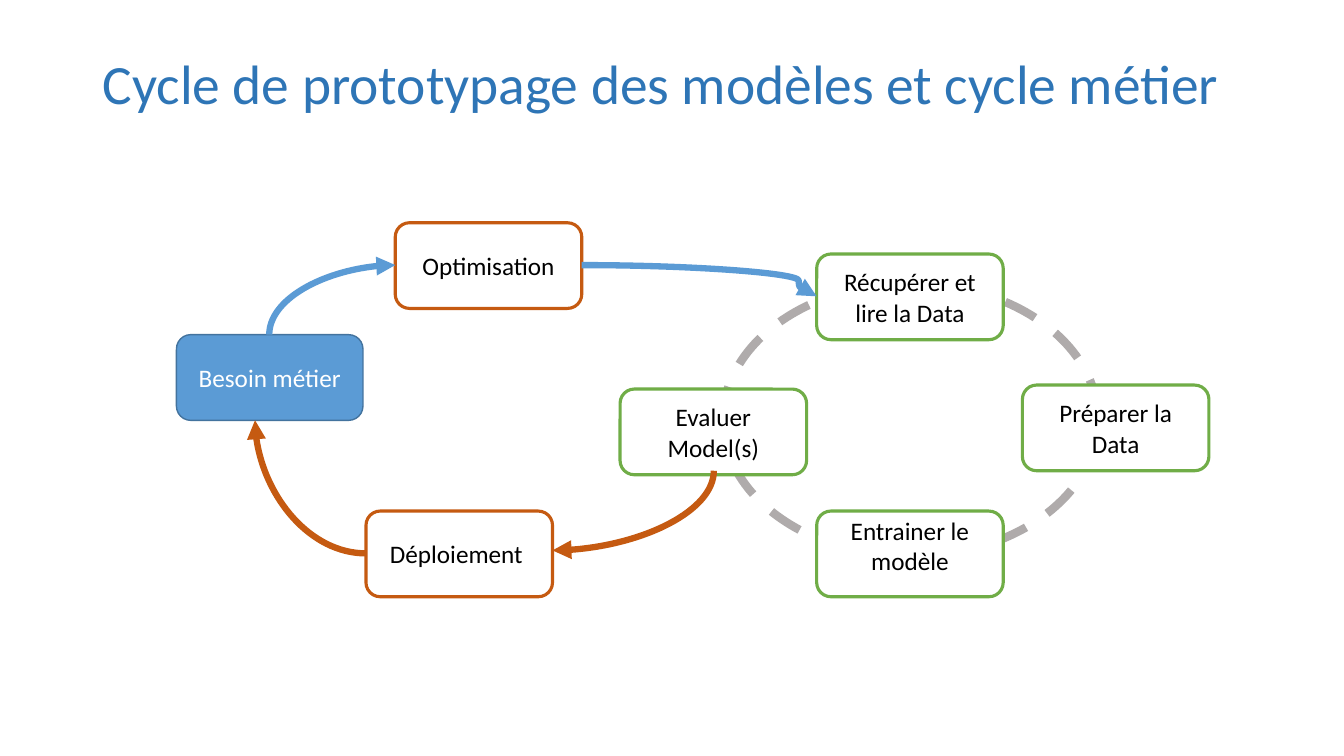
from dataclasses import dataclass

from lxml.etree import SubElement
from pptx import Presentation
from pptx.dml.color import RGBColor
from pptx.enum.dml import MSO_LINE
from pptx.enum.shapes import MSO_CONNECTOR, MSO_SHAPE as SHAPE
from pptx.enum.text import MSO_ANCHOR as ANCHOR, PP_ALIGN as ALIGN
from pptx.oxml.ns import qn
from pptx.util import Pt

PX = 9144  # EMU per px, 100 px to the inch
BOX_W, BOX_H = 185, 85


@dataclass(frozen=True)
class Theme:
    font: str = "Calibri"
    title_size: float = 39.6
    body_size: float = 18
    title: str = "2E75B6"
    white: str = "FFFFFF"
    black: str = "000000"
    blue: str = "5B9BD5"
    blue_edge: str = "43739E"
    green: str = "70AD47"
    orange: str = "C55A11"
    grey: str = "AFABAB"


class Deck:
    def __init__(self, theme):
        self.t = theme
        self.prs = Presentation()
        self.prs.slide_width, self.prs.slide_height = 1333 * PX, 750 * PX
        self.s = self.prs.slides.add_slide(self.prs.slide_layouts[6])

    def add_text(self, tf, lines, size, color, align):
        tf.word_wrap = True
        tf.vertical_anchor = ANCHOR.MIDDLE
        for i, line in enumerate(lines):
            p = tf.paragraphs[0] if i == 0 else tf.add_paragraph()
            p.alignment = align
            r = p.add_run()
            r.text = line
            r.font.name, r.font.size = self.t.font, Pt(size)
            r.font.color.rgb = RGBColor.from_string(color)

    def title(self, x, y, w, h, text):
        tf = self.s.shapes.add_textbox(x * PX, y * PX, w * PX, h * PX).text_frame
        self.add_text(tf, [text], self.t.title_size, self.t.title, ALIGN.LEFT)
        tf.paragraphs[0].line_spacing = 0.9

    def shape(self, kind, x, y, w, h, fill, edge, weight):
        sp = self.s.shapes.add_shape(kind, x * PX, y * PX, w * PX, h * PX)
        sp.shadow.inherit = False
        sp.fill.solid()
        sp.fill.fore_color.rgb = RGBColor.from_string(fill)
        sp.line.color.rgb = RGBColor.from_string(edge)
        sp.line.width = Pt(weight)
        return sp

    def ring(self, x, y, w, h):
        sp = self.shape(SHAPE.OVAL, x, y, w, h, self.t.white, self.t.grey, 6)
        sp.line.dash_style = MSO_LINE.DASH

    def box(self, x, y, lines, edge, fill=None, color=None, weight=2.25):
        sp = self.shape(SHAPE.ROUNDED_RECTANGLE, x, y, BOX_W, BOX_H,
                        fill or self.t.white, edge, weight)
        self.add_text(sp.text_frame, lines, self.t.body_size,
                      color or self.t.black, ALIGN.CENTER)
        return sp

    def arrow(self, start, end, color, upright=False, bend=None):
        """Curved arrow; upright leaves vertically, bend makes an S-curve."""
        (x1, y1), (x2, y2) = start, end
        if upright:  # lay the arrow flat about its centre, then turn it 90°
            cx, cy = (x1 + x2) / 2, (y1 + y2) / 2
            dx, dy = x1 - cx, y1 - cy
            x1, y1, x2, y2 = cx + dy, cy - dx, cx - dy, cy + dx
        cxn = self.s.shapes.add_connector(
            MSO_CONNECTOR.CURVE, *(round(v * PX) for v in (x1, y1, x2, y2)))
        cxn.line.color.rgb = RGBColor.from_string(color)
        cxn.line.width = Pt(4.5)
        pr = cxn._element.spPr
        if upright:
            pr.find(qn("a:xfrm")).set("rot", "5400000")
        geom = pr.find(qn("a:prstGeom"))
        if bend is None:
            geom.set("prst", "curvedConnector2")
        else:
            SubElement(geom.find(qn("a:avLst")), qn("a:gd"),
                       name="adj1", fmla=f"val {bend}")
        SubElement(pr.find(qn("a:ln")), qn("a:tailEnd"), type="triangle")
        SubElement(pr, qn("a:effectLst"))


def main():
    t = Theme()
    d = Deck(t)

    # Prototyping ring and title
    d.ring(717, 281, 372, 271)
    d.title(92, 40, 1150, 91, "Cycle de prototypage des modèles et cycle métier")

    # Business need
    d.box(175, 332, ["Besoin métier"], t.blue_edge, t.blue, t.white, 1)

    # Prototyping steps
    d.box(615, 386, ["Evaluer", "Model(s)"], t.green)
    d.box(810, 252, ["Récupérer et lire la Data"], t.green)
    d.box(1014, 382, ["Préparer la Data"], t.green)
    train = d.box(810, 507, ["Entrainer le modèle"], t.green).text_frame
    train.vertical_anchor = ANCHOR.TOP
    train.margin_top = 0

    # Business steps
    d.box(392, 221, ["Optimisation"], t.orange)
    d.box(363, 507, ["Déploiement "], t.orange)

    # Arrows of the business cycle
    d.arrow((708, 467), (548, 546), t.orange, upright=True)
    d.arrow((363, 549), (253, 417), t.orange)
    d.arrow((267, 332), (392, 263), t.blue, upright=True)
    d.arrow((577, 263), (810, 294), t.blue, bend=92400)

    d.prs.save("out.pptx")


if __name__ == "__main__":
    main()
